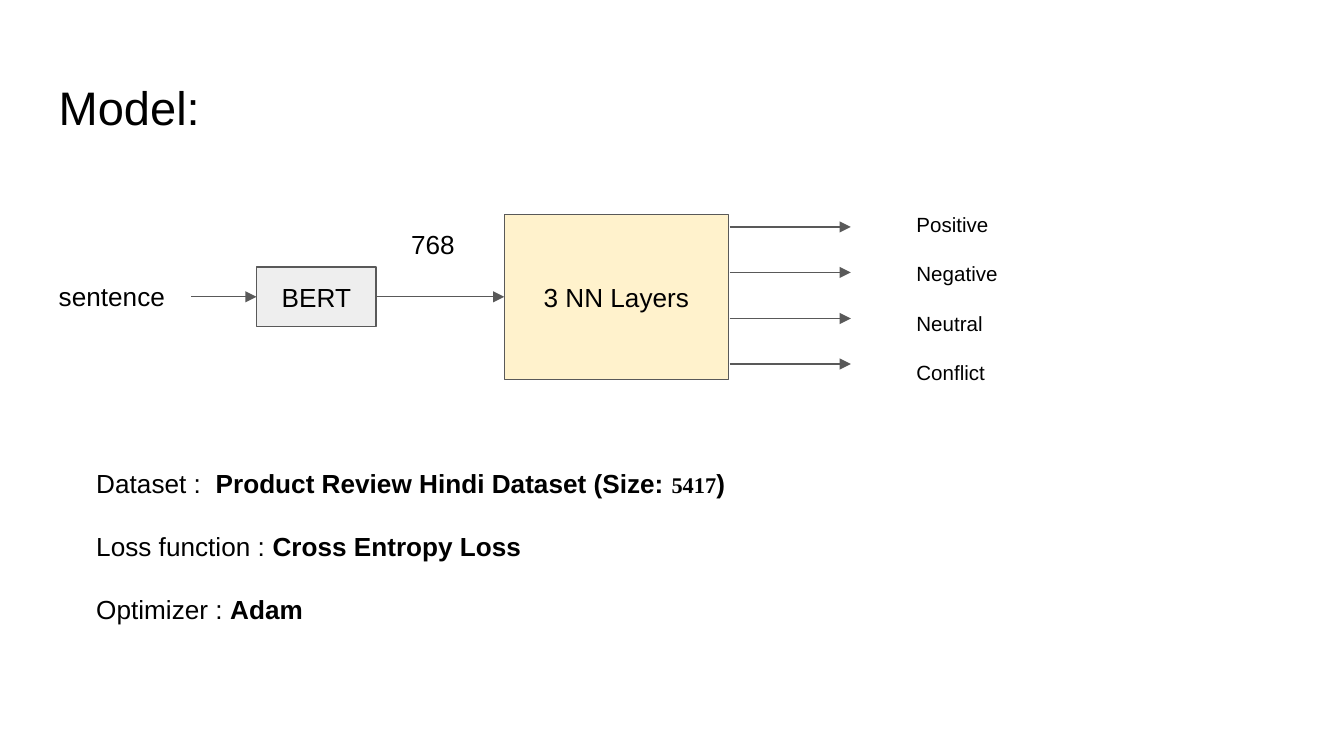
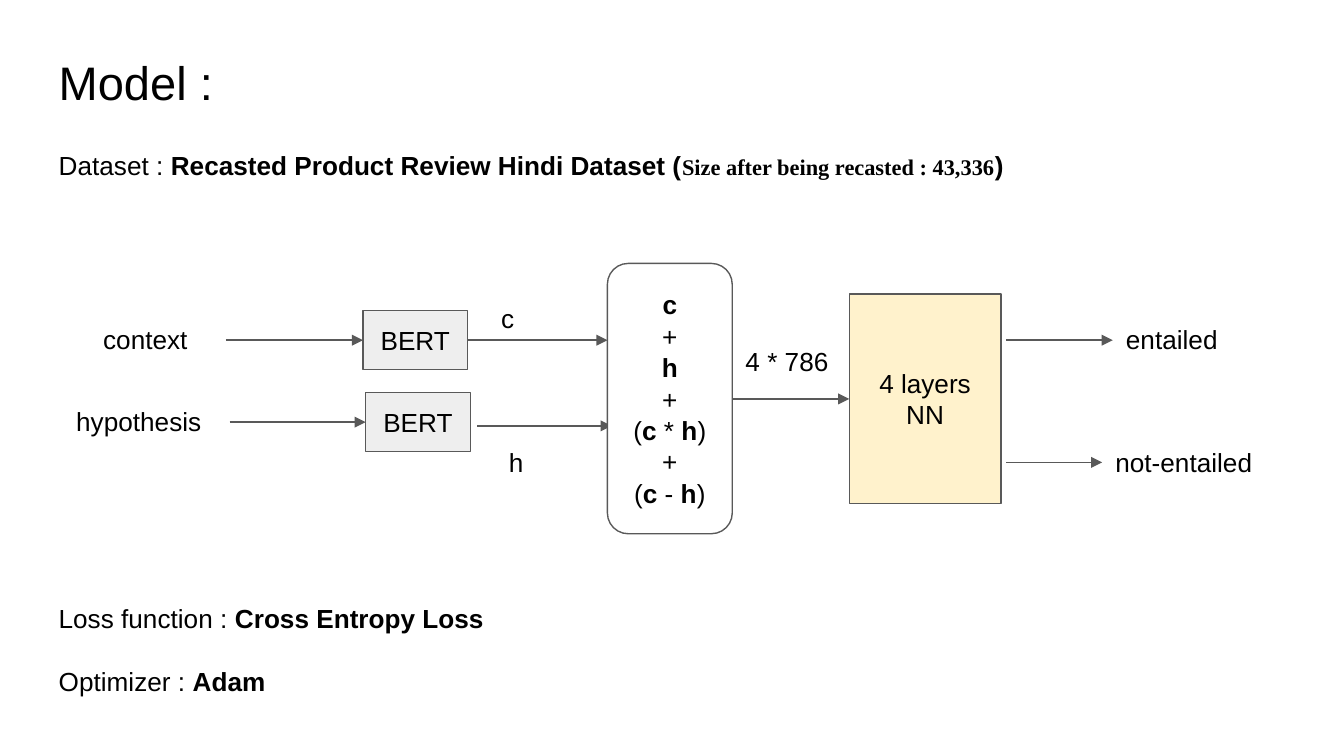
from pptx import Presentation
from pptx.dml.color import RGBColor
from pptx.enum.shapes import MSO_CONNECTOR as CONN, MSO_SHAPE as SHAPE
from pptx.enum.text import MSO_ANCHOR as ANCHOR, PP_ALIGN as ALIGN
from pptx.oxml.ns import qn
from pptx.util import Cm, Pt
from lxml import etree

# Shared look
BLACK = RGBColor(0x00, 0x00, 0x00)
WHITE = RGBColor(0xFF, 0xFF, 0xFF)
GREY = RGBColor(0x59, 0x59, 0x59)
ENCODER = RGBColor(0xEE, 0xEE, 0xEE)
NETWORK = RGBColor(0xFF, 0xF2, 0xCC)
RECT, ROUND = SHAPE.RECTANGLE, SHAPE.ROUNDED_RECTANGLE
LEFT, FULL_W, LINE_H = 0.86, 23.67, 1.12
INSET = Cm(0.25)
STYLES = {
    "plain": {"name": "Arial", "bold": False},
    "bold": {"name": "Arial", "bold": True},
    "serif": {"name": "Times New Roman", "bold": True, "size": Pt(12)},
}

# Content: a paragraph is a string or a list of (text, style) runs
TRAINING = [
    [("Loss function : ", "plain"), ("Cross Entropy Loss", "bold")],
    [("Optimizer : ", "plain"), ("Adam", "bold")],
]
REVIEWS = [("Dataset : ", "plain"),
           (" Product Review Hindi Dataset (Size: ", "bold"),
           ("5417", "serif"), (")", "bold")]
RECAST = [("Dataset : ", "plain"),
          ("Recasted Product Review Hindi Dataset (", "bold"),
          ("Size after being recasted : 43,336", "serif"), (")", "bold")]


def combined(sign):
    return [("(", "plain"), ("c", "bold"), (f" {sign} ", "plain"),
            ("h", "bold"), (")", "plain")]


FUSION = [[("c", "bold")], "+", [("h", "bold")], "+",
          combined("*"), "+", combined("-")]

# Four evenly spaced output arrows, one per class
OUTPUTS = [(13.79, 16.08, round(4.29 + 0.863 * i, 2)) for i in range(4)]

# arrows: from x, to x, y; boxes: kind, fill, place, text;
# labels: place, text; blocks: place, paragraphs, size, gap, anchor
SLIDES = [
    {
        "title": ("Model:", 1.24),
        "arrows": [(3.61, 4.85, 5.61), (7.11, 9.53, 5.61)] + OUTPUTS,
        "boxes": [
            (RECT, ENCODER, (4.85, 5.05, 2.26, LINE_H), ["BERT"]),
            (RECT, NETWORK, (9.53, 4.06, 4.24, 3.12), ["3 NN Layers"]),
        ],
        "labels": [
            ((LEFT, 5.05, 2.74), "sentence"),
            ((7.52, 4.06, 1.6), "768"),
        ],
        "blocks": [
            ((17.07, 3.76, 3.86, 4.39),
             ["Positive", "Negative", "Neutral", "Conflict"],
             11, 13.2, ANCHOR.TOP),
            ((1.57, 8.59, 13.72, 3.51), [REVIEWS] + TRAINING,
             14, 16.9, ANCHOR.TOP),
        ],
    },
    {
        "title": ("Model :", 0.76),
        "arrows": [
            (4.27, 6.86, 6.43), (4.34, 6.91, 7.98),
            (8.84, 11.48, 6.43), (9.02, 11.56, 8.05),
            (13.84, 16.05, 7.54),
            (19.02, 21.03, 6.43), (19.02, 20.83, 8.74),
        ],
        "boxes": [
            (RECT, ENCODER, (6.86, 5.87, 1.98, LINE_H), ["BERT"]),
            (RECT, ENCODER, (6.91, 7.42, 1.98, LINE_H), ["BERT"]),
            (ROUND, WHITE, (11.48, 4.98, 2.36, 5.11), FUSION),
            (RECT, NETWORK, (16.05, 5.56, 2.87, 3.96), ["4 layers", "NN"]),
        ],
        "labels": [
            ((1.7, 5.87, 2.57), "context"),
            ((1.19, 7.42, 3.15), "hypothesis"),
            ((9.22, 5.46, 0.97), "c"),
            ((9.37, 8.18, 1.3), "h"),
            ((13.84, 6.27, 2.87), "4 * 786"),
            ((21.03, 5.87, 2.36), "entailed"),
            ((20.83, 8.18, 3.15), "not-entailed"),
        ],
        "blocks": [
            ((LEFT, 2.57, FULL_W, 6.91), [RECAST], 14, 0, ANCHOR.TOP),
            ((LEFT, 10.52, 12.45, 2.9), TRAINING, 14, 16.9, ANCHOR.BOTTOM),
        ],
    },
]


def write(sp, paragraphs, size=14, gap=0, anchor=ANCHOR.TOP, align=ALIGN.LEFT):
    tf = sp.text_frame
    frame = {"word_wrap": True, "vertical_anchor": anchor}
    frame.update({f"margin_{side}": INSET
                  for side in ("left", "top", "right", "bottom")})
    for key, value in frame.items():
        setattr(tf, key, value)
    for i, runs in enumerate(paragraphs):
        p = tf.add_paragraph() if i else tf.paragraphs[0]
        p.alignment = align
        if i and gap:
            p.space_before = Pt(gap)
        for text, style in [(runs, "plain")] if isinstance(runs, str) else runs:
            r = p.add_run()
            r.text = text
            r.font.color.rgb = BLACK
            for key, value in {"size": Pt(size), **STYLES[style]}.items():
                setattr(r.font, key, value)


def add_text(slide, place, paragraphs, *layout):
    write(slide.shapes.add_textbox(*map(Cm, place)), paragraphs, *layout)


def add_box(slide, kind, fill, place, paragraphs):
    sp = slide.shapes.add_shape(kind, *map(Cm, place))
    sp.shadow.inherit = False
    sp.fill.solid()
    sp.fill.fore_color.rgb = fill
    sp.line.color.rgb = GREY
    sp.line.width = Pt(0.75)
    write(sp, paragraphs, anchor=ANCHOR.MIDDLE, align=ALIGN.CENTER)


def add_arrow(slide, x1, x2, y):
    line = slide.shapes.add_connector(CONN.STRAIGHT, Cm(x1), Cm(y), Cm(x2), Cm(y))
    line.line.color.rgb = GREY
    line.line.width = Pt(0.75)
    sppr = line._element.spPr
    etree.SubElement(sppr.find(qn("a:ln")), qn("a:tailEnd"), type="triangle")
    etree.SubElement(sppr, qn("a:effectLst"))


# Build
prs = Presentation()
prs.slide_width, prs.slide_height = Cm(25.4), Cm(14.29)
for content in SLIDES:
    slide = prs.slides.add_slide(prs.slide_layouts[6])
    title, top = content["title"]
    add_text(slide, (LEFT, top, FULL_W, 1.6), [title], 25.2)
    for arrow in content["arrows"]:
        add_arrow(slide, *arrow)
    for box in content["boxes"]:
        add_box(slide, *box)
    for place, text in content["labels"]:
        add_text(slide, (*place, LINE_H), [text])
    for block in content["blocks"]:
        add_text(slide, *block)
prs.save("out.pptx")
